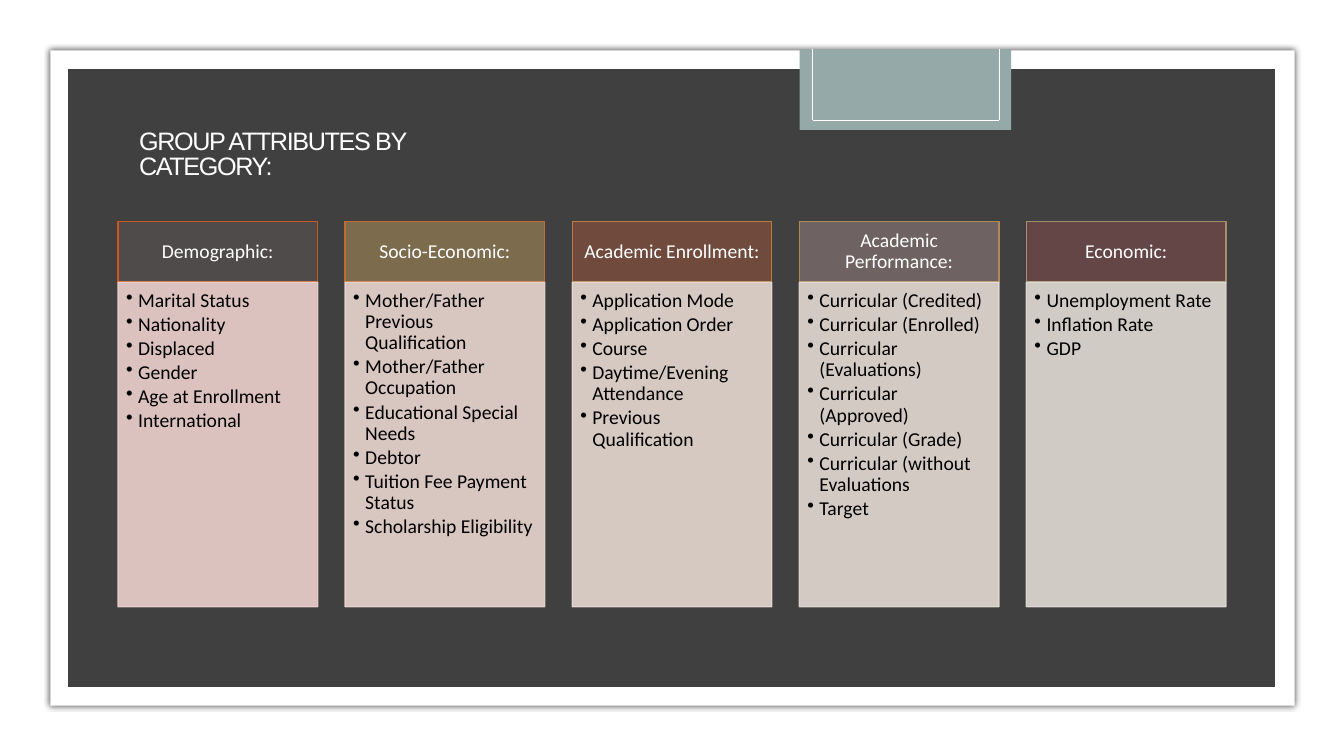
from lxml import etree
from pptx import Presentation
from pptx.dml.color import RGBColor
from pptx.enum import shapes, text
from pptx.oxml import ns
from pptx.util import Inches, Pt

WHITE = RGBColor(0xFF, 0xFF, 0xFF)
BLACK = RGBColor(0, 0, 0)
CHARCOAL = RGBColor(0x40, 0x40, 0x40)
SAGE = RGBColor(0x96, 0xA9, 0xA9)

# Heading, header fill, header line, body colour, attributes
CATEGORIES = [
    ("Demographic:", RGBColor(0x4F, 0x4B, 0x4B), RGBColor(0xCB, 0x58, 0x1F),
     RGBColor(0xEC, 0xD1, 0xCD),
     ["Marital Status", "Nationality", "Displaced", "Gender",
      "Age at Enrollment", "International"]),
    ("Socio-Economic:", RGBColor(0x7C, 0x6B, 0x4D), RGBColor(0xC3, 0x6C, 0x2F),
     RGBColor(0xE9, 0xD5, 0xCE),
     ["Mother/Father Previous Qualification", "Mother/Father Occupation",
      "Educational Special Needs", "Debtor", "Tuition Fee Payment Status",
      "Scholarship Eligibility"]),
    ("Academic Enrollment:", RGBColor(0x70, 0x4A, 0x3D), RGBColor(0xBA, 0x7C, 0x41),
     RGBColor(0xE6, 0xD8, 0xD0),
     ["Application Mode", "Application Order", "Course",
      "Daytime/Evening Attendance", "Previous Qualification"]),
    ("Academic Performance:", RGBColor(0x6E, 0x62, 0x63), RGBColor(0xAF, 0x88, 0x55),
     RGBColor(0xE3, 0xDA, 0xD2),
     ["Curricular (Credited)", "Curricular (Enrolled)", "Curricular (Evaluations)",
      "Curricular (Approved)", "Curricular (Grade)",
      "Curricular (without Evaluations", "Target"]),
    ("Economic:", RGBColor(0x64, 0x46, 0x46), RGBColor(0xA2, 0x8E, 0x6A),
     RGBColor(0xE0, 0xDB, 0xD4),
     ["Unemployment Rate", "Inflation Rate", "GDP"]),
]


def add_xml(parent, tag, **attrs):
    return etree.SubElement(parent, ns.qn(tag), attrs)


def add_rect(s, x, y, w, h, fill, line=None, width=1):
    sp = s.shapes.add_shape(shapes.MSO_SHAPE.RECTANGLE,
                            Inches(x), Inches(y), Inches(w), Inches(h))
    sp.shadow.inherit = False
    sp.fill.solid()
    sp.fill.fore_color.rgb = fill
    if line is None:
        sp.line.fill.background()
    else:
        sp.line.color.rgb = line
        sp.line.width = Pt(width)
    return sp


def add_line(s, x1, y1, x2, y2):
    line = s.shapes.add_connector(shapes.MSO_CONNECTOR.STRAIGHT,
                                  Inches(x1), Inches(y1), Inches(x2), Inches(y2))
    line.line.color.rgb = WHITE
    line.line.width = Pt(0.5)
    add_xml(line._element.spPr, "a:effectLst")


def fill_text(sp, lines, insets, anchor, align, color):
    tf = sp.text_frame
    tf.word_wrap = True
    tf.vertical_anchor = anchor
    tf.margin_left, tf.margin_top, tf.margin_right, tf.margin_bottom = map(Inches, insets)
    tf.text = "\n".join(lines)
    for p in tf.paragraphs:
        p.alignment = align
        p.line_spacing = 0.9
        font = p.runs[0].font
        font.name, font.size, font.color.rgb = "Calibri", Pt(14), color
    return tf


def add_frame(s, x, y, w, h):
    """White card with a soft shadow around a dark panel."""
    card = add_rect(s, x, y, w, h, WHITE)
    effects = card._element.spPr.find(ns.qn("a:effectLst"))
    shadow = add_xml(effects, "a:outerShdw", blurRad=str(Pt(4)), dist="0", dir="0",
                     algn="ctr", rotWithShape="0")
    color = add_xml(shadow, "a:srgbClr", val=str(BLACK))
    add_xml(color, "a:alpha", val="66000")
    add_rect(s, x + 0.17, y + 0.18, w - 0.36, h - 0.36, CHARCOAL, WHITE, 0.5)


def add_tab(s, x, y, w, h):
    """Sage tab outlined on three sides, open at the top."""
    add_rect(s, x, y, w, h, SAGE)
    left, right, bottom = x + 0.13, x + w - 0.12, y + h - 0.1
    add_line(s, left, y, left, bottom)
    add_line(s, right, y, right, bottom)
    add_line(s, left, bottom, right, bottom)


def add_title(s, x, y, w, h):
    title = s.shapes.title
    title.left, title.top, title.width, title.height = map(Inches, (x, y, w, h))
    tf = title.text_frame
    tf.text = "GROUP ATTRIBUTES BY CATEGORY:"
    tf.word_wrap = True
    tf.auto_size = text.MSO_AUTO_SIZE.NONE
    tf.vertical_anchor = text.MSO_ANCHOR.MIDDLE
    p = tf.paragraphs[0]
    p.alignment = text.PP_ALIGN.LEFT
    p.line_spacing = 0.83
    r = p.runs[0]
    r.font.name, r.font.size, r.font.color.rgb = "Arial", Pt(18), WHITE
    r._r.get_or_add_rPr().set("spc", "-100")


def add_category(s, x, y, w, h, category):
    heading, fill, line, body_color, attributes = category
    header_h = 0.6
    header = add_rect(s, x, y, w, header_h, fill, line)
    fill_text(header, [heading], (0.11, 0.06, 0.11, 0.06),
              text.MSO_ANCHOR.MIDDLE, text.PP_ALIGN.CENTER, WHITE)

    body = add_rect(s, x, y + header_h, w, h - header_h, body_color, body_color)
    for color in body._element.spPr.iter(ns.qn("a:srgbClr")):
        add_xml(color, "a:alpha", val="90000")
    tf = fill_text(body, attributes, (0.08, 0.08, 0.11, 0.12),
                   text.MSO_ANCHOR.TOP, text.PP_ALIGN.LEFT, BLACK)
    for p in tf.paragraphs:
        p.space_after = Pt(2.1)
        pPr = p._p.get_or_add_pPr()
        pPr.set("marL", str(Inches(0.12)))
        pPr.set("indent", str(Inches(-0.12)))
        add_xml(pPr, "a:buChar", char="•")


def add_categories(s, x, y, w, h):
    """Equal columns spread over the whole width."""
    col_w = 1.98
    pitch = (w - col_w) / (len(CATEGORIES) - 1)
    for i, category in enumerate(CATEGORIES):
        add_category(s, x + i * pitch, y, col_w, h, category)


def main():
    prs = Presentation()
    prs.slide_width, prs.slide_height = Inches(13.33), Inches(7.5)
    s = prs.slides.add_slide(prs.slide_layouts[5])
    s.background.fill.solid()
    s.background.fill.fore_color.rgb = WHITE
    add_frame(s, 0.5, 0.5, 12.34, 6.5)
    # Bring the title in front of the frame
    s.shapes._spTree.append(s.shapes.title._element)
    add_title(s, 1.28, 1.14, 4.02, 0.8)
    add_tab(s, 7.93, 0.49, 2.1, 0.8)
    add_categories(s, 1.17, 2.2, 10.99, 3.82)
    prs.save("out.pptx")


if __name__ == "__main__":
    main()
